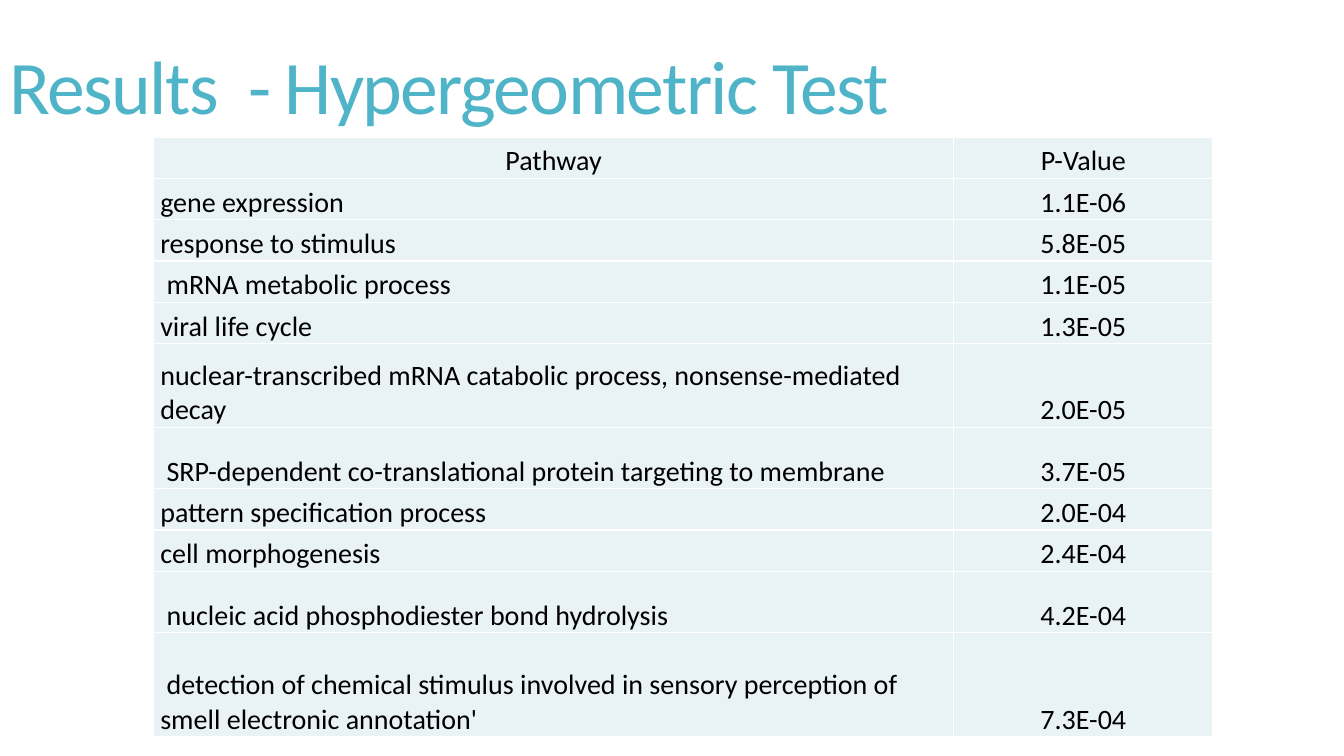
from lxml import etree
from pptx import Presentation
from pptx.dml.color import RGBColor
from pptx.enum.text import MSO_ANCHOR, PP_ALIGN
from pptx.oxml.ns import qn
from pptx.util import Inches, Pt

LEFT, CENTER = PP_ALIGN.LEFT, PP_ALIGN.CENTER
MIDDLE, BOTTOM = MSO_ANCHOR.MIDDLE, MSO_ANCHOR.BOTTOM
FONT = "Calibri"
TITLE_COLOR, TEXT_COLOR = "50B4C8", "000000"
CELL_COLOR, BORDER_COLOR = "E9F2F5", "FFFFFF"

# Row height, pathway, p-value
ROWS = [
    (0.41, "Pathway", "P-Value"),
    (0.41, "gene expression", "1.1E-06"),
    (0.41, "response to stimulus", "5.8E-05"),
    (0.41, "\u00a0mRNA metabolic process", "1.1E-05"),
    (0.41, "viral life cycle", "1.3E-05"),
    (0.83, "nuclear-transcribed mRNA catabolic process, nonsense-mediated decay", "2.0E-05"),
    (0.61, "\u00a0SRP-dependent co-translational protein targeting to membrane", "3.7E-05"),
    (0.41, "pattern specification process", "2.0E-04"),
    (0.41, "cell morphogenesis", "2.4E-04"),
    (0.61, "\u00a0nucleic acid phosphodiester bond hydrolysis\u00a0", "4.2E-04"),
    (1.03, "\u00a0detection of chemical stimulus involved in sensory perception of "
           "smell\u00a0electronic annotation'", "7.3E-04"),
]
COLUMN_WIDTHS = [7.94, 2.57]


def write_text(frame, text, size, color, align=LEFT, line_spacing=None):
    """Write one formatted paragraph into a text frame and return its span."""
    para = frame.paragraphs[0]
    para.alignment = align
    para.line_spacing = line_spacing
    span = para.add_run()
    span.text = text
    span.font.name = FONT
    span.font.size = Pt(size)
    span.font.color.rgb = RGBColor.from_string(color)
    return span


def add_borders(cell, color, width):
    """Draw a solid line on all four sides of a table cell."""
    properties = cell._tc.get_or_add_tcPr()
    for position, side in enumerate(("a:lnL", "a:lnR", "a:lnT", "a:lnB")):
        line = etree.Element(qn(side), w=str(Pt(width)))
        fill = etree.SubElement(line, qn("a:solidFill"))
        etree.SubElement(fill, qn("a:srgbClr"), val=color)
        properties.insert(position, line)


deck = Presentation()
deck.slide_width, deck.slide_height = Inches(13.33), Inches(7.5)
page = deck.slides.add_slide(deck.slide_layouts[6])

title_box = page.shapes.add_textbox(0, 0, Inches(11.78), Inches(1.81))
title_frame = title_box.text_frame
title_frame.word_wrap = True
title_frame.vertical_anchor = MIDDLE
title_span = write_text(title_frame, "Results\u00a0 - Hypergeometric Test", 54, TITLE_COLOR,
                        line_spacing=0.85)
title_span.font._element.set("spc", "-120")

table_frame = page.shapes.add_table(len(ROWS), len(COLUMN_WIDTHS), Inches(1.52), Inches(1.36),
                                    Inches(sum(COLUMN_WIDTHS)), Inches(sum(row[0] for row in ROWS)))
table = table_frame.table
table.first_row = table.horz_banding = False
for column, width in zip(table.columns, COLUMN_WIDTHS):
    column.width = Inches(width)

for row_index, (height, *texts) in enumerate(ROWS):
    table.rows[row_index].height = Inches(height)
    for column_index, text in enumerate(texts):
        cell = table.cell(row_index, column_index)
        cell.vertical_anchor = BOTTOM
        cell.margin_left = cell.margin_right = Inches(0.07)
        cell.margin_top = cell.margin_bottom = 0
        cell.fill.solid()
        cell.fill.fore_color.rgb = RGBColor.from_string(CELL_COLOR)
        add_borders(cell, BORDER_COLOR, 1)
        is_pathway = row_index > 0 and column_index == 0
        write_text(cell.text_frame, text, 20, TEXT_COLOR,
                   align=LEFT if is_pathway else CENTER,
                   line_spacing=None if is_pathway else Pt(12))

deck.save("out.pptx")
